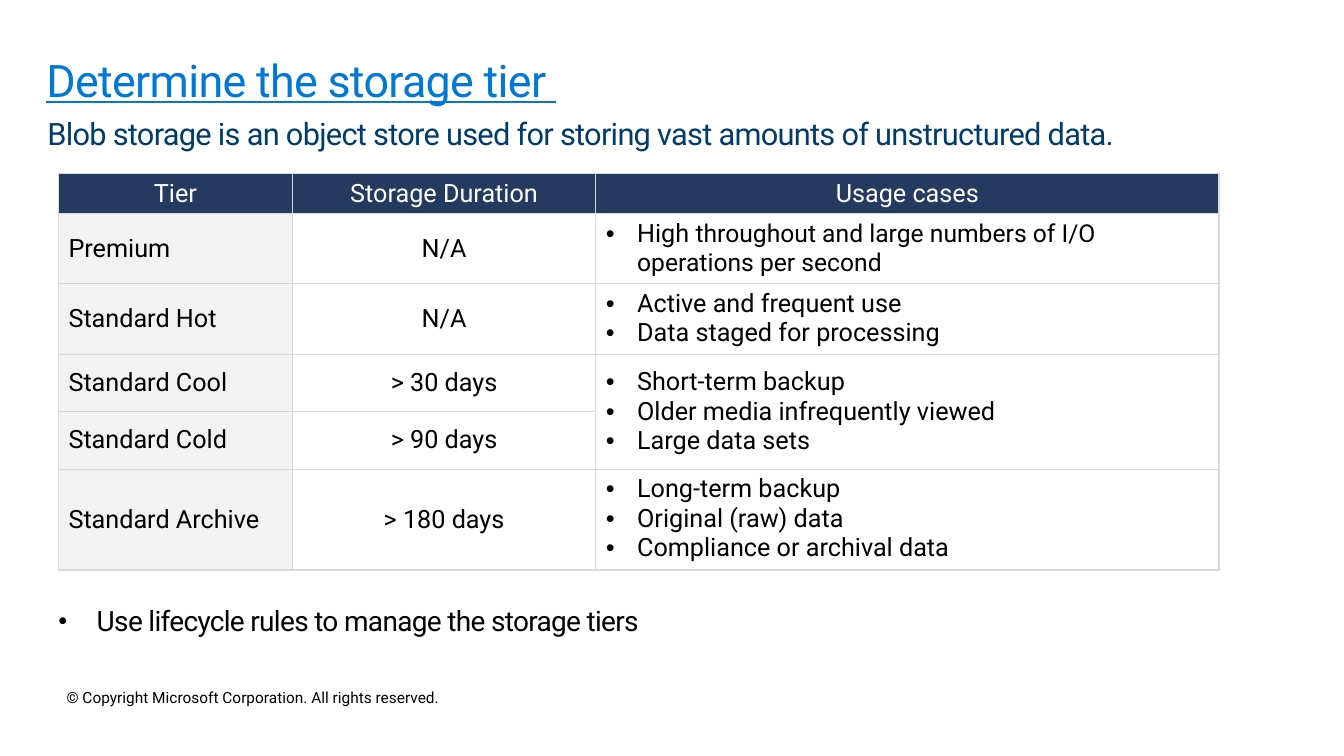
"""Build the storage tier slide with its table of tiers and usage cases."""
from dataclasses import dataclass

import lxml.etree
import pptx
import pptx.dml.color
import pptx.enum.text
import pptx.oxml.ns
import pptx.util

PX = 9144
FONT = "Roboto"
COLORS = {
    "title": "0078D4", "subtitle": "003C6A", "text": "000000", "header": "243A5E",
    "label": "F2F2F2", "white": "FFFFFF", "border": "D9D9D9",
}
ALIGN = pptx.enum.text.PP_ALIGN
ANCHOR = pptx.enum.text.MSO_ANCHOR


@dataclass
class Run:
    text: str
    size: float = 18
    color: str = "text"
    spacing: int = 0
    underline: bool = False


@dataclass
class Box:
    left: int
    top: int
    width: int
    height: int
    insets: tuple[int, int, int, int]
    run: Run
    wrap: bool = True
    line_spacing: float = 1.0
    bullet_indent: int = 0


@dataclass
class Tier:
    name: str
    duration: str
    height: int
    uses: list[list[Run]]
    anchor: ANCHOR = ANCHOR.TOP
    rows: int = 1


BOXES = [
    Box(46, 676, 415, 51, (20, 10, 20, 16),
        Run("© Copyright Microsoft Corporation. All rights reserved.", 11), wrap=False),
    Box(46, 48, 1240, 70, (0, 10, 16, 10),
        Run("Determine the storage tier ", 32, "title", -50, True), line_spacing=0.9),
    Box(47, 109, 1240, 47, (0, 5, 0, 5),
        Run("Blob storage is an object store used for storing vast amounts of "
            "unstructured data.", 22, "subtitle", -50)),
    Box(58, 594, 1150, 44, (0, 5, 0, 5),
        Run("Use lifecycle rules to manage the storage tiers", 20, "text", -50),
        bullet_indent=38),
]

HEADERS = ["Tier", "Storage Duration", "Usage cases"]
COLUMN_WIDTHS = [232, 301, 618]
HEADER_HEIGHT = 34
TIERS = [
    Tier("Premium", "N/A", 59,
         [[Run("High "),
           Run("throughout and large numbers of I/O operations per second", 17.6)]]),
    Tier("Standard Hot", "N/A", 60,
         [[Run("Active and frequent use")], [Run("Data staged for processing")]]),
    Tier("Standard Cool", "> 30 days", 57,
         [[Run("Short-term backup")], [Run("Older media infrequently viewed")],
          [Run("Large data sets")]], ANCHOR.MIDDLE, 2),
    Tier("Standard Cold", "> 90 days", 57, []),
    Tier("Standard Archive", "> 180 days", 85,
         [[Run("Long-term backup")], [Run("Original (raw) data")],
          [Run("Compliance or archival data")]]),
]


def px(value: int) -> pptx.util.Emu:
    """Turn px into EMU."""
    return pptx.util.Emu(value * PX)


def rgb(name: str) -> pptx.dml.color.RGBColor:
    """Look up a named colour."""
    return pptx.dml.color.RGBColor.from_string(COLORS[name])


def add_element(parent, tag: str, **attrs: str):
    """Append a DrawingML element."""
    return lxml.etree.SubElement(parent, pptx.oxml.ns.qn(tag), attrs)


def add_run(p, run: Run) -> None:
    """Append one formatted run to a paragraph."""
    r = p.add_run()
    r.text = run.text
    r.font.name = FONT
    r.font.size = pptx.util.Pt(run.size)
    r.font.bold = False
    r.font.color.rgb = rgb(run.color)
    if run.underline:
        r.font.underline = True
    if run.spacing:
        r.font._element.set("spc", str(run.spacing))


def add_bullet(p, indent: int, percent: int = 100) -> None:
    """Give a paragraph a hanging round bullet."""
    pPr = p._p.get_or_add_pPr()
    pPr.set("marL", str(px(indent)))
    pPr.set("indent", str(-px(indent)))
    add_element(pPr, "a:buSzPct", val=str(percent * 1000))
    add_element(pPr, "a:buFont", typeface="Arial")
    add_element(pPr, "a:buChar", char="•")


def add_box(s, box: Box) -> None:
    """Draw one single-paragraph text box."""
    sp = s.shapes.add_textbox(px(box.left), px(box.top), px(box.width), px(box.height))
    tf = sp.text_frame
    tf.word_wrap = box.wrap
    tf.margin_left, tf.margin_top, tf.margin_right, tf.margin_bottom = map(px, box.insets)
    p = tf.paragraphs[0]
    p.line_spacing = box.line_spacing
    if box.bullet_indent:
        add_bullet(p, box.bullet_indent, 90)
    add_run(p, box.run)


def style_cell(cell, fill: str) -> None:
    """Set the borders, fill and anchor of a cell."""
    tcPr = cell._tc.get_or_add_tcPr()
    for side in "LRTB":
        ln = add_element(tcPr, f"a:ln{side}", w=str(pptx.util.Pt(1)))
        add_element(add_element(ln, "a:solidFill"), "a:srgbClr", val=COLORS["border"])
    cell.fill.solid()
    cell.fill.fore_color.rgb = rgb(fill)
    cell.vertical_anchor = ANCHOR.MIDDLE


def fill_cell(cell, run: Run, fill: str, align: ALIGN) -> None:
    """Style a cell and write one line in it."""
    style_cell(cell, fill)
    p = cell.text_frame.paragraphs[0]
    p.alignment = align
    add_run(p, run)


def add_tier_table(s) -> None:
    """Draw the table of storage tiers."""
    heights = [HEADER_HEIGHT] + [tier.height for tier in TIERS]
    table = s.shapes.add_table(len(heights), len(HEADERS), px(58), px(172),
                               px(sum(COLUMN_WIDTHS)), px(sum(heights))).table
    table.first_row = table.horz_banding = False
    for column, width in zip(table.columns, COLUMN_WIDTHS):
        column.width = px(width)
    for row, height in zip(table.rows, heights):
        row.height = px(height)
    for i, header in enumerate(HEADERS):
        fill_cell(table.cell(0, i), Run(header, color="white"), "header", ALIGN.CENTER)
    for i, tier in enumerate(TIERS, 1):
        fill_cell(table.cell(i, 0), Run(tier.name), "label", ALIGN.LEFT)
        fill_cell(table.cell(i, 1), Run(tier.duration), "white", ALIGN.CENTER)
        cell = table.cell(i, 2)
        style_cell(cell, "white")
        cell.vertical_anchor = tier.anchor
        if tier.rows > 1:
            cell.merge(table.cell(i + tier.rows - 1, 2))
        tf = cell.text_frame
        for j, runs in enumerate(tier.uses):
            p = tf.add_paragraph() if j else tf.paragraphs[0]
            add_bullet(p, 31)
            for run in runs:
                add_run(p, run)


def main() -> None:
    """Build and save the slide."""
    prs = pptx.Presentation()
    prs.slide_width, prs.slide_height = px(1333), px(750)
    s = prs.slides.add_slide(prs.slide_layouts[6])
    for box in BOXES:
        add_box(s, box)
    add_tier_table(s)
    prs.save("out.pptx")


if __name__ == "__main__":
    main()
